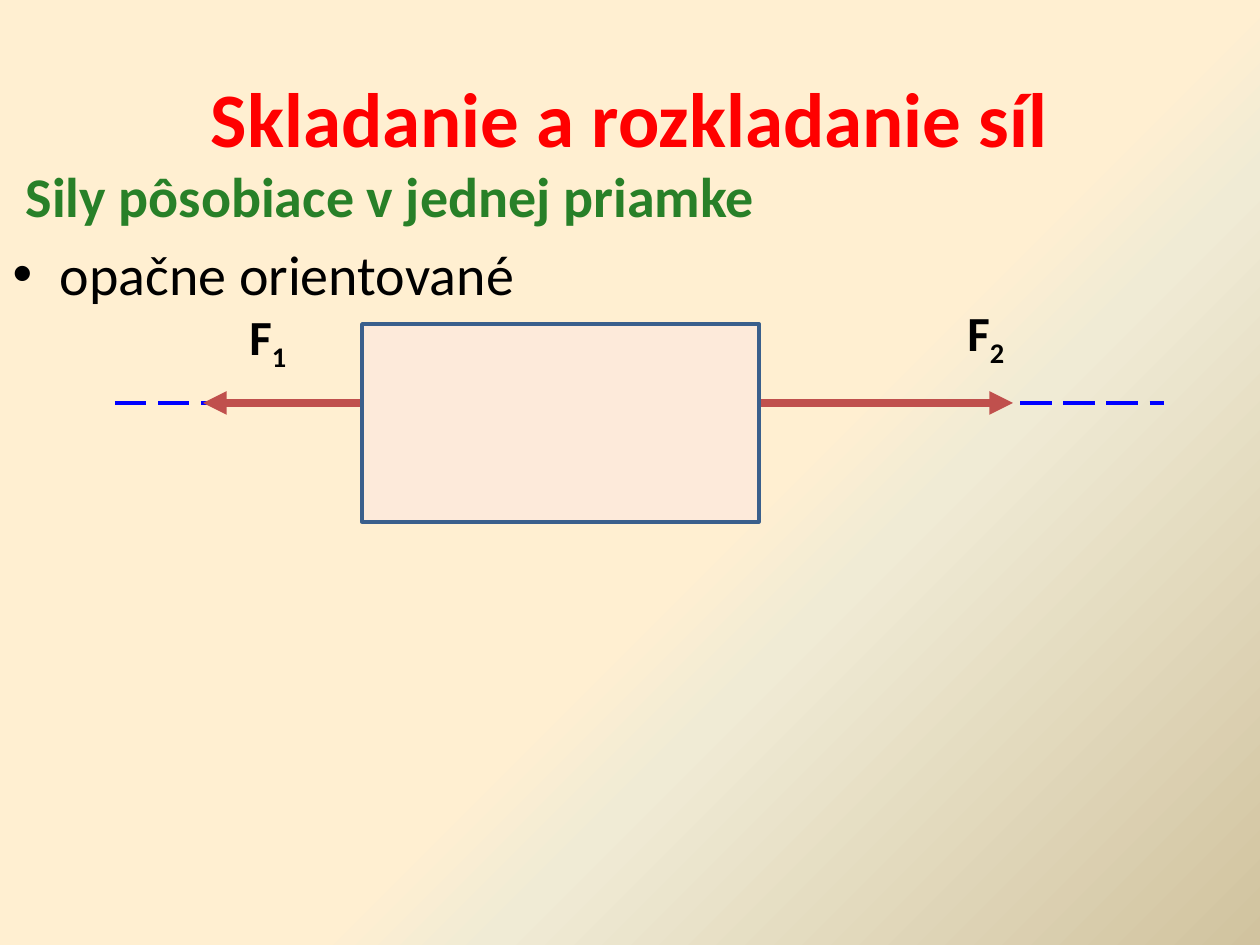
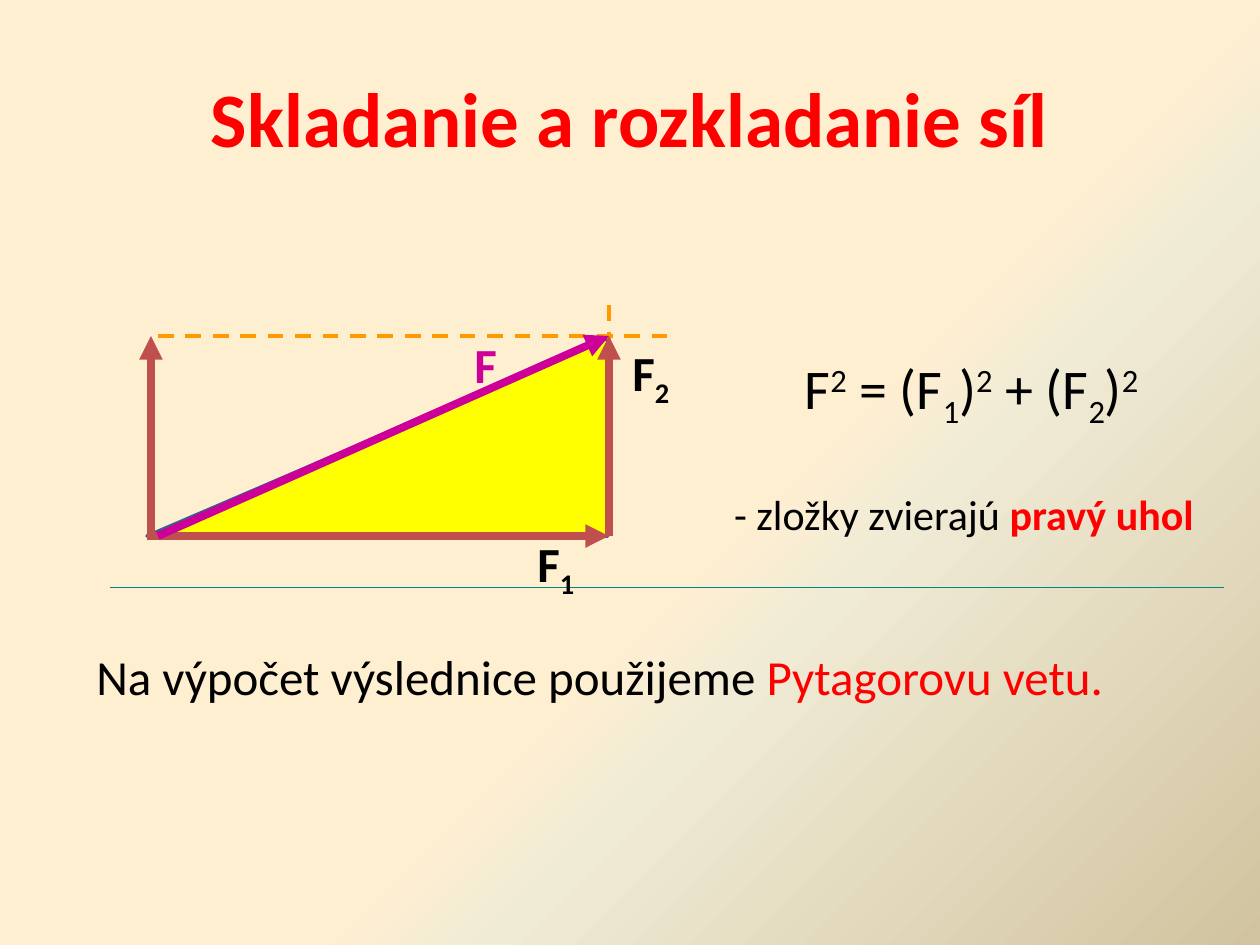
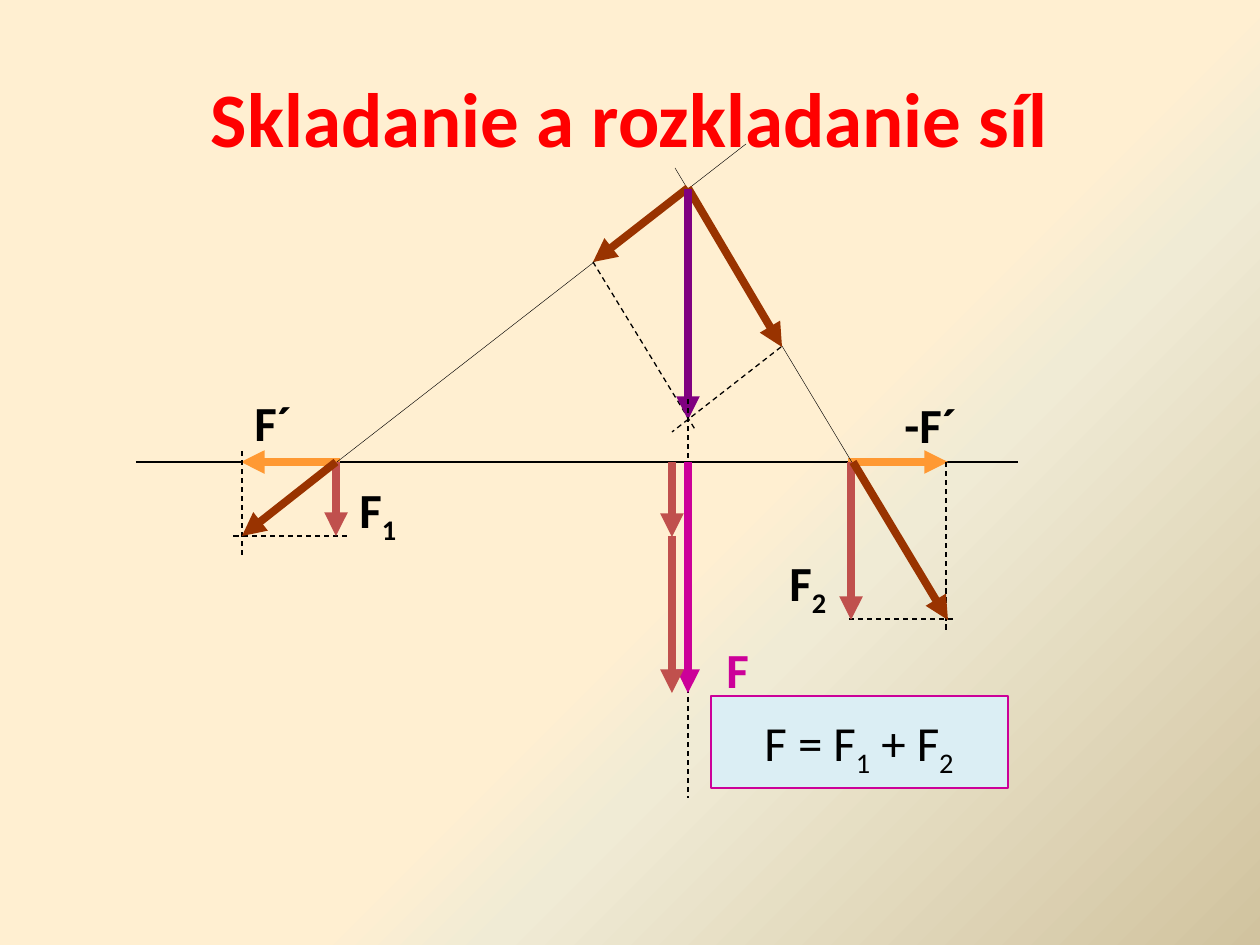
from dataclasses import dataclass

from lxml import etree
from pptx import Presentation
from pptx.dml.color import RGBColor
from pptx.enum.dml import MSO_LINE
from pptx.enum.shapes import MSO_CONNECTOR, MSO_SHAPE
from pptx.enum.text import MSO_ANCHOR, MSO_AUTO_SIZE, PP_ALIGN
from pptx.oxml.ns import qn
from pptx.util import Emu, Pt

STRAIGHT = MSO_CONNECTOR.STRAIGHT
RECTANGLE = MSO_SHAPE.RECTANGLE
TRIANGLE = MSO_SHAPE.ISOSCELES_TRIANGLE
CALLOUT = MSO_SHAPE.LINE_CALLOUT_1_NO_BORDER
DASH = MSO_LINE.DASH
LONG_DASH = MSO_LINE.LONG_DASH
LEFT = PP_ALIGN.LEFT
CENTER = PP_ALIGN.CENTER
MIDDLE = MSO_ANCHOR.MIDDLE
GROW = MSO_AUTO_SIZE.SHAPE_TO_FIT_TEXT

EMU_PER_PX = 914400 / 126
TITLE_ONLY, TITLE_AND_BODY = 5, 1
TITLE = "Skladanie a rozkladanie síl"
BASELINES = {"_": "-25000", "^": "30000"}


@dataclass(frozen=True)
class Theme:
    """Colours, font and type sizes shared by all slides."""
    font: str = "Calibri"
    title_size: int = 44
    body_size: int = 32
    label_size: int = 28
    note_size: int = 24
    background: tuple = ((57, "FFEFD1"), (65, "F0EBD5"), (100, "D1C39F"))
    text: str = "000000"
    accent: str = "FF0000"
    heading: str = "288028"
    component: str = "C0504D"
    resultant: str = "CC0099"
    support: str = "FF9933"
    partial_sum: str = "993300"
    shifted_resultant: str = "800080"
    force_line: str = "0000FF"
    parallel: str = "FF9900"
    outline: str = "3A5F8C"
    divider: str = "008582"
    body_fill: str = "FDEADA"
    triangle_fill: str = "FFFF00"
    formula_fill: str = "DBEEF4"


THEME = Theme()


def px(*lengths):
    """Turn pixel lengths into EMU."""
    return [Emu(round(length * EMU_PER_PX)) for length in lengths]


def rgb(colour):
    """Turn a hex string into a colour."""
    return RGBColor.from_string(colour)


def set_background(master):
    """Give the master the diagonal gradient."""
    fill = master.background.fill
    fill.gradient()
    fill.gradient_angle = 315
    stops = master.element.find(".//" + qn("a:gsLst"))
    for stop in list(stops):
        stops.remove(stop)
    for position, colour in THEME.background:
        stop = etree.SubElement(stops, qn("a:gs"), pos=str(position * 1000))
        etree.SubElement(stop, qn("a:srgbClr"), val=colour)


def format_run(run, size, colour=THEME.text, bold=False):
    """Set the font of one run."""
    run.font.name = THEME.font
    run.font.size = Pt(size)
    run.font.bold = bold
    run.font.color.rgb = rgb(colour)


def write(paragraph, text, size, colour=THEME.text, bold=False, align=LEFT):
    """Write runs parted by |, where _ lowers a run and ^ raises it."""
    paragraph.alignment = align
    for part in text.split("|"):
        run = paragraph.add_run()
        run.text = part.lstrip("_^")
        format_run(run, size, colour, bold)
        if part[0] in BASELINES:
            run.font._element.set("baseline", BASELINES[part[0]])


def add_slide(presentation, layout):
    """Add a slide with the common title."""
    slide = presentation.slides.add_slide(presentation.slide_layouts[layout])
    title = slide.shapes.title
    title.left, title.top, title.width, title.height = px(63, 38, 1134, 158)
    title.text_frame.text = TITLE
    title.text_frame.vertical_anchor = MIDDLE
    paragraph = title.text_frame.paragraphs[0]
    paragraph.alignment = CENTER
    format_run(paragraph.runs[0], THEME.title_size, THEME.accent, True)
    return slide


def fill_body(slide, heading, item):
    """Fill the body placeholder with a heading and one bulleted item."""
    body = slide.placeholders[1]
    body.left, body.top, body.width, body.height = px(0, 155, 1134, 624)
    body.text_frame.text = heading
    first = body.text_frame.paragraphs[0]
    properties = first._p.get_or_add_pPr()
    properties.set("marL", str(px(13)[0]))
    properties.set("indent", "0")
    etree.SubElement(properties, qn("a:buNone"))
    format_run(first.runs[0], THEME.body_size, THEME.heading, True)
    second = body.text_frame.add_paragraph()
    second.text = item
    format_run(second.runs[0], THEME.body_size)


def add_line(slide, start, end, colour=THEME.text, width=0.75, dash=None):
    """Draw a straight line between two points."""
    connector = slide.shapes.add_connector(STRAIGHT, *px(*start, *end))
    connector.line.color.rgb = rgb(colour)
    connector.line.width = Pt(width)
    if dash:
        connector.line.dash_style = dash
    etree.SubElement(connector._element.spPr, qn("a:effectLst"))
    return connector


def add_force(slide, start, end, colour=THEME.component):
    """Draw a force as a thick arrow."""
    connector = add_line(slide, start, end, colour, 4.5)
    etree.SubElement(connector.line._get_or_add_ln(), qn("a:tailEnd"), type="triangle")


def add_figure(slide, kind, box, fill, line, width, adjustments=()):
    """Draw a preset shape; without a fill colour it stays open."""
    shape = slide.shapes.add_shape(kind, *px(*box))
    shape.shadow.inherit = False
    for index, value in enumerate(adjustments):
        shape.adjustments[index] = value
    if fill:
        shape.fill.solid()
        shape.fill.fore_color.rgb = rgb(fill)
    else:
        shape.fill.background()
    shape.line.color.rgb = rgb(line)
    shape.line.width = Pt(width)
    return shape


def add_text(slide, box, text, size=THEME.label_size, colour=THEME.text, bold=False, align=LEFT):
    """Add a wrapping text box and return its paragraph."""
    frame = slide.shapes.add_textbox(*px(*box)).text_frame
    frame.word_wrap = True
    frame.auto_size = GROW
    paragraph = frame.paragraphs[0]
    write(paragraph, text, size, colour, bold, align)
    return paragraph


def add_label(slide, left, top, text, colour=THEME.text, width=136):
    """Name a force with a bold label."""
    add_text(slide, (left, top, width, 72), text, colour=colour, bold=True)


def build_opposite_forces(presentation):
    """Show two opposite forces acting on a body."""
    slide = add_slide(presentation, TITLE_AND_BODY)
    fill_body(slide, "Sily pôsobiace v jednej priamke", "opačne orientované")
    add_line(slide, (115, 403), (1164, 403), THEME.force_line, 2.25, LONG_DASH)
    add_label(slide, 237, 300, "F|_1")
    add_label(slide, 955, 296, "F|_2")
    add_force(slide, (759, 403), (1013, 403))
    add_force(slide, (360, 403), (203, 403))
    add_figure(slide, RECTANGLE, (362, 324, 397, 198), THEME.body_fill, THEME.outline, 2)


def build_right_angle(presentation):
    """Show the resultant of two perpendicular forces."""
    slide = add_slide(presentation, TITLE_ONLY)
    left, right, top, bottom = 151, 609, 336, 536
    add_figure(slide, TRIANGLE, (147, 338, 461, 198), THEME.triangle_fill, THEME.outline, 2, [1])
    note = add_figure(slide, CALLOUT, (688, 451, 552, 126), None, THEME.divider, 0.75,
                      [1.083, 0.971, 1.083, -1.047])
    note.text_frame.vertical_anchor = MIDDLE
    paragraph = note.text_frame.paragraphs[0]
    write(paragraph, "- zložky zvierajú |pravý uhol", THEME.note_size, align=CENTER)
    format_run(paragraph.runs[-1], THEME.note_size, THEME.accent, True)

    add_force(slide, (147, bottom), (right, bottom))
    add_label(slide, 525, 527, "F|_1")
    add_force(slide, (left, bottom), (left, top))
    add_line(slide, (158, top), (672, top), THEME.parallel, 2.25, DASH)
    add_line(slide, (right, 305), (right, bottom), THEME.parallel, 2.25, DASH)
    add_force(slide, (158, bottom), (right, top), THEME.resultant)
    add_force(slide, (right, bottom), (right, top))
    add_label(slide, 620, 336, "F|_2")
    add_text(slide, (735, 347, 473, 79), "F|^2| = (F|_1|)|^2| + (F|_2|)|^2",
             THEME.body_size, align=CENTER)
    add_label(slide, 462, 328, "F", THEME.resultant, 53)
    sentence = add_text(slide, (84, 640, 1144, 72),
                        "Na výpočet výslednice použijeme |Pytagorovu vetu.")
    format_run(sentence.runs[-1], THEME.label_size, THEME.accent)


def build_parallel_forces(presentation):
    """Show how two parallel forces are added with support forces."""
    slide = add_slide(presentation, TITLE_ONLY)
    axis, center = 462, 688
    add_figure(slide, RECTANGLE, (711, 696, 297, 92), THEME.formula_fill, THEME.resultant, 0.75)
    add_line(slide, (136, axis), (1018, axis))
    add_force(slide, (848, axis), (948, axis), THEME.support)
    add_force(slide, (340, axis), (241, axis), THEME.support)

    for start, end in (((347, 536), (231, 536)), ((242, 451), (242, 557)),
                       ((946, axis), (946, 630)), ((849, 619), (955, 619))):
        add_line(slide, start, end, dash=DASH)
    for start, end in (((675, 168), (871, 494)), ((746, 144), (315, 479))):
        add_line(slide, start, end, width=0.25)
    for end in ((593, 262), (782, 347)):
        add_force(slide, (center, 188), end, THEME.partial_sum)
    for start, end in (((593, 262), (696, 431)), ((781, 347), (672, 432))):
        add_line(slide, start, end, dash=DASH)

    add_force(slide, (center, 189), (center, 420), THEME.shifted_resultant)
    add_line(slide, (center, 399), (center, 798), dash=DASH)
    add_force(slide, (center, axis), (center, 693), THEME.resultant)
    for x, start, end in ((672, axis, 537), (672, 536, 693), (336, axis, 536), (851, axis, 620)):
        add_force(slide, (x, start), (x, end))
    add_force(slide, (853, axis), (948, 620), THEME.partial_sum)
    add_force(slide, (336, axis), (242, 536), THEME.partial_sum)

    add_text(slide, (717, 706, 284, 72), "F = F|_1| + F|_2", align=CENTER)
    add_label(slide, 347, 473, "F|_1")
    add_label(slide, 777, 546, "F|_2")
    add_label(slide, 714, 633, "F", THEME.resultant, 53)
    add_label(slide, 242, 386, "F´", width=84)
    add_label(slide, 892, 388, "-F´")


def main():
    """Build and save the presentation."""
    presentation = Presentation()
    presentation.slide_width, presentation.slide_height = px(1260, 945)
    set_background(presentation.slide_master)
    build_opposite_forces(presentation)
    build_right_angle(presentation)
    build_parallel_forces(presentation)
    presentation.save("out.pptx")


if __name__ == "__main__":
    main()
